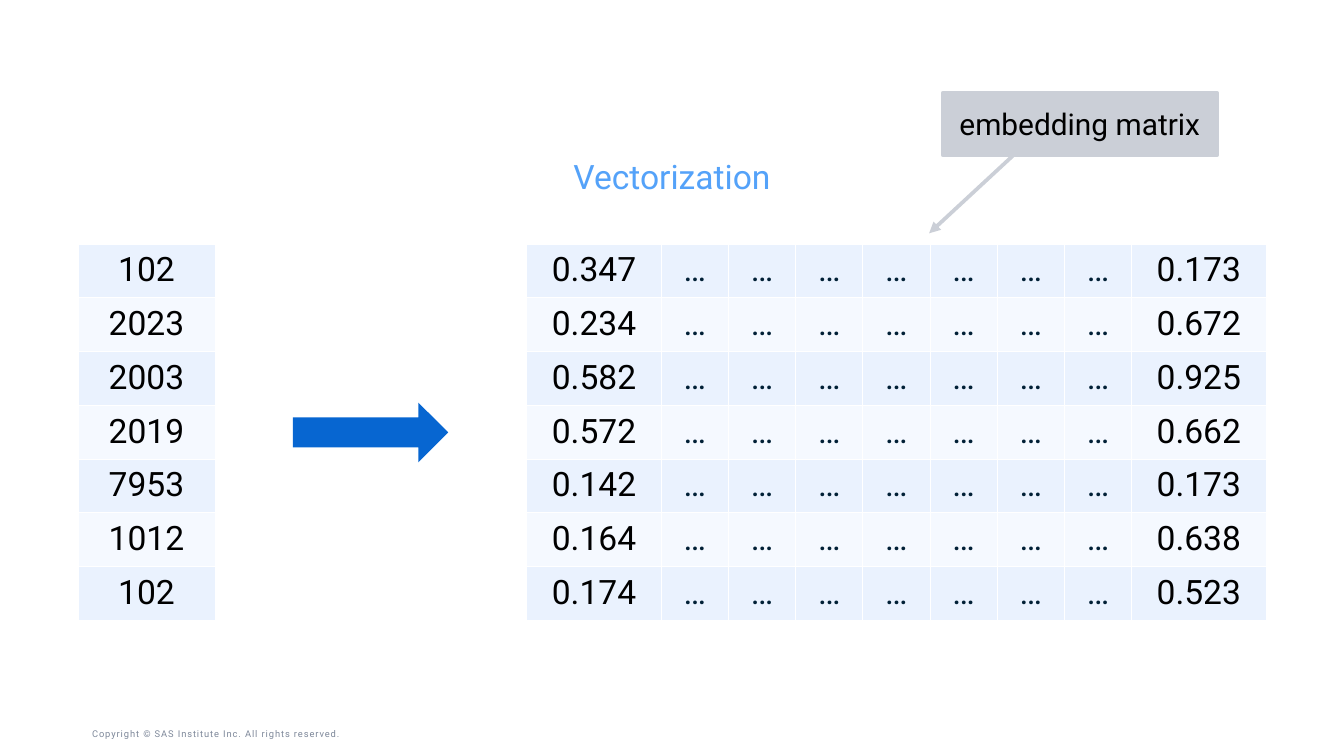
"""Builds the vectorization slide: token ids turned into an embedding matrix."""
from lxml.etree import SubElement
from pptx import Presentation
from pptx.dml.color import RGBColor
from pptx.enum.shapes import MSO_SHAPE
from pptx.enum.text import MSO_ANCHOR, PP_ALIGN
from pptx.oxml import parse_xml
from pptx.oxml.ns import nsdecls, qn
from pptx.util import Inches, Pt

COLORS = {
    "copyright": "7E889A",
    "arrow": "0766D1",
    "title": "54A2F9",
    "callout": "CBCFD7",
    "text": "000000",
    "ellipsis": "012036",
    "odd_row": "EAF2FE",
    "even_row": "F5F9FF",
    "border": "FFFFFF",
}
ROW_HEIGHT = 0.8
TABLE_TOP = 3.63


def write(frame, text, size, color, align=PP_ALIGN.CENTER):
    paragraph = frame.paragraphs[0]
    paragraph.text = text
    paragraph.alignment = align
    paragraph.font.size = Pt(size)
    paragraph.font.name = "Roboto"
    paragraph.font.color.rgb = RGBColor.from_string(COLORS[color])
    return paragraph


def add_grid(slide, left, widths, rows):
    table = slide.shapes.add_table(
        len(rows), len(widths), Inches(left), Inches(TABLE_TOP),
        Inches(sum(widths)), Inches(ROW_HEIGHT * len(rows))).table
    table.first_row = False
    table.horz_banding = False
    for column, width in zip(table.columns, widths):
        column.width = Inches(width)
    for r, values in enumerate(rows):
        table.rows[r].height = Inches(ROW_HEIGHT)
        band = "even_row" if r % 2 else "odd_row"
        for c, value in enumerate(values):
            cell = table.cell(r, c)
            cell.margin_left = cell.margin_right = Inches(0.2)
            cell.margin_top = cell.margin_bottom = Inches(0.1)
            cell.fill.solid()
            cell.fill.fore_color.rgb = RGBColor.from_string(COLORS[band])
            write(cell.text_frame, value, 36, "ellipsis" if value == "…" else "text")
            properties = cell._tc.get_or_add_tcPr()
            for position, side in enumerate(("lnL", "lnR", "lnT", "lnB")):
                properties.insert(position, parse_xml(
                    f'<a:{side} {nsdecls("a")} w="{Pt(1)}"><a:solidFill>'
                    f'<a:srgbClr val="{COLORS["border"]}"/></a:solidFill></a:{side}>'))


prs = Presentation()
prs.slide_width = Inches(20)
prs.slide_height = Inches(11.25)
slide = prs.slides.add_slide(prs.slide_layouts[6])

copyright_box = slide.shapes.add_textbox(
    Inches(1.37), Inches(10.78), Inches(5.5), Inches(0.27))
copyright_frame = copyright_box.text_frame
copyright_frame.word_wrap = True
copyright_frame.vertical_anchor = MSO_ANCHOR.BOTTOM
copyright_frame.margin_left = 0
copyright_line = write(
    copyright_frame, "Copyright © SAS Institute Inc. All rights reserved.",
    10, "copyright", PP_ALIGN.LEFT)
copyright_line.runs[0].font._element.set("spc", "100")

arrow = slide.shapes.add_shape(
    MSO_SHAPE.RIGHT_ARROW, Inches(4.36), Inches(5.99), Inches(2.31), Inches(0.89))
arrow.shadow.inherit = False
arrow.fill.solid()
arrow.fill.fore_color.rgb = RGBColor.from_string(COLORS["arrow"])
arrow.line.fill.background()

token_ids = ["102", "2023", "2003", "2019", "7953", "1012", "102"]
first_values = ["0.347", "0.234", "0.582", "0.572", "0.142", "0.164", "0.174"]
last_values = ["0.173", "0.672", "0.925", "0.662", "0.173", "0.638", "0.523"]
add_grid(slide, 1.16, [2.04], [[token_id] for token_id in token_ids])
add_grid(slide, 7.84, [2] + [1] * 7 + [2],
         [[first] + ["…"] * 7 + [last]
          for first, last in zip(first_values, last_values)])

title_frame = slide.shapes.add_textbox(
    Inches(6.53), Inches(2.41), Inches(6.94), Inches(0.6)).text_frame
title_frame.word_wrap = True
title_frame.margin_left = title_frame.margin_right = 0
title_frame.margin_top = title_frame.margin_bottom = 0
write(title_frame, "Vectorization", 36, "title").line_spacing = 0.85

callout = slide.shapes.add_shape(
    MSO_SHAPE.LINE_CALLOUT_1, Inches(14.03), Inches(1.38), Inches(4.08), Inches(0.93))
for index, value in enumerate((0.95, 0.27, 2.25, -0.05)):
    callout.adjustments[index] = value
callout.shadow.inherit = False
callout.fill.solid()
callout.fill.fore_color.rgb = RGBColor.from_string(COLORS["callout"])
callout.line.color.rgb = RGBColor.from_string(COLORS["callout"])
callout.line.width = Pt(4)
SubElement(callout.line._get_or_add_ln(), qn("a:tailEnd"), type="triangle")
callout_frame = callout.text_frame
callout_frame.word_wrap = True
callout_frame.vertical_anchor = MSO_ANCHOR.MIDDLE
callout_frame.margin_left = callout_frame.margin_right = Inches(0.19)
callout_frame.margin_top = callout_frame.margin_bottom = Inches(0.19)
write(callout_frame, "embedding matrix", 32, "text")

prs.save("out.pptx")
